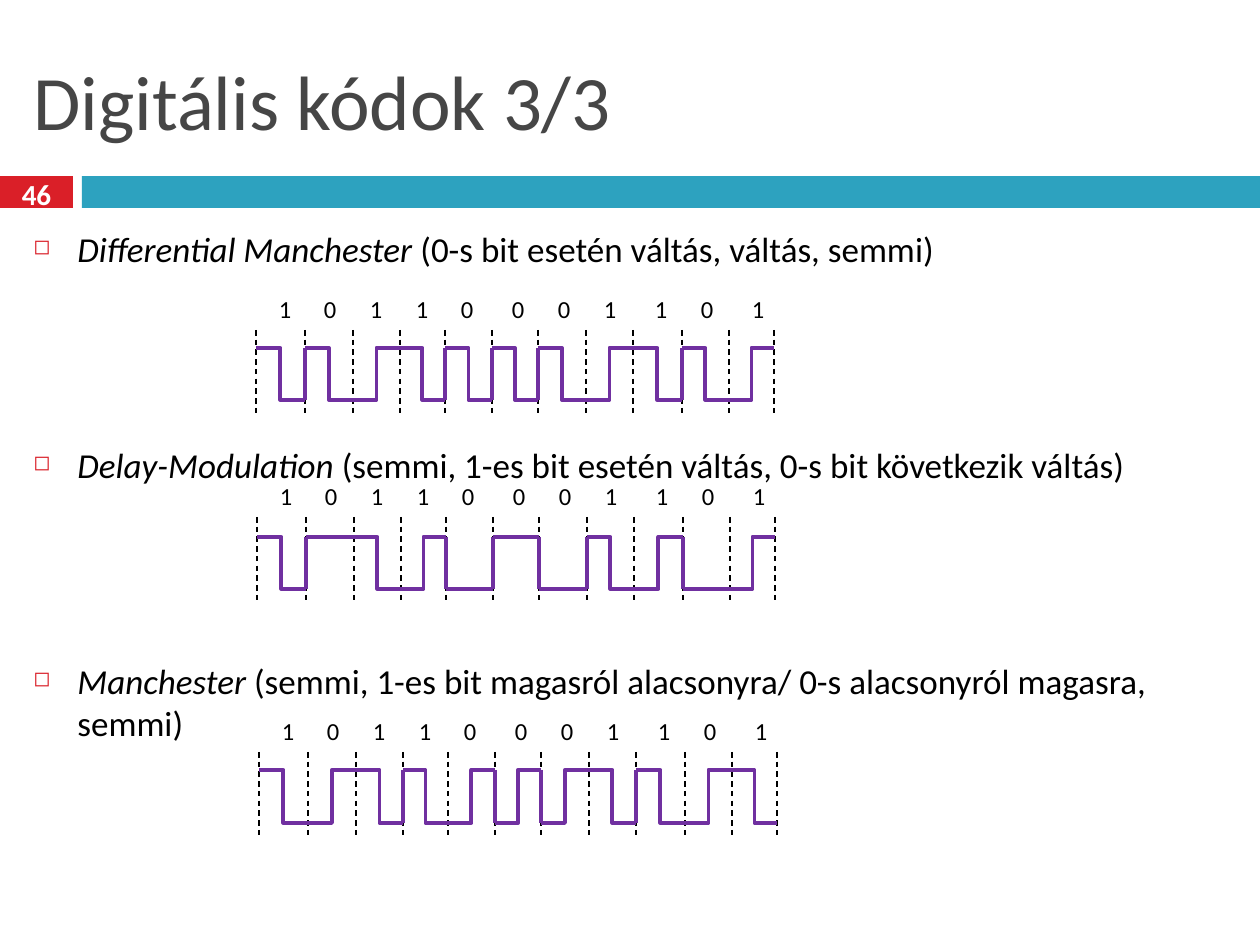
from itertools import pairwise

from lxml.etree import SubElement
from pptx import Presentation
from pptx.dml.color import RGBColor
from pptx.enum.dml import MSO_LINE
from pptx.enum.shapes import MSO_CONNECTOR as LINK, MSO_SHAPE as SHAPE
from pptx.enum.text import MSO_ANCHOR as ANCHOR, PP_ALIGN as ALIGN
from pptx.oxml.ns import qn
from pptx.util import Pt

EMU_PER_PX = 914400 / 126
FONT = "Calibri"
BLACK, WHITE, GREY = "000000", "FFFFFF", "464646"
RED, TEAL, PURPLE = "DA1F28", "2DA2BF", "7030A0"

BITS = "10110001101"
BIT_EDGES = [0, 49, 97, 144, 189, 236, 282, 330, 377, 426, 473, 518]
DIGIT_STOPS = [45, 91, 137, 182, 233, 279, 325, 376, 422, 473]
LEVELS = {"F": (0, 1), "R": (1, 0), "H": (0, 0), "L": (1, 1)}

CODES = [
    ("Differential Manchester", " (0-s bit esetén váltás, váltás, semmi)"),
    ("Delay-Modulation", " (semmi, 1-es bit esetén váltás, 0-s bit következik váltás)"),
    ("Manchester", " (semmi, 1-es bit magasról alacsonyra/ 0-s alacsonyról magasra, semmi)"),
]
DIAGRAMS = [
    ((256, 330, 518, 87), (18, 70), "FFRFFFFRFFR"),
    ((257, 517, 518, 87), (20, 72), "FHFRLHLFRLR"),
    ((259, 752, 518, 87), (18, 71), "FRFFRRRFFRF"),
]


def px(length):
    """Turn px into EMU."""
    return round(length * EMU_PER_PX)


def rgb(code):
    """Turn a hex string into a colour."""
    return RGBColor.from_string(code)


def add_run(paragraph, text, size, color, bold=False, italic=False):
    """Append one styled run."""
    run = paragraph.add_run()
    run.text = text
    font = run.font
    font.name, font.size, font.bold, font.italic = FONT, Pt(size), bold, italic
    font.color.rgb = rgb(color)


def add_frame(slide, box, anchor=ANCHOR.TOP):
    """Add a wrapping text box and return its frame."""
    frame = slide.shapes.add_textbox(*map(px, box)).text_frame
    frame.word_wrap = True
    frame.vertical_anchor = anchor
    return frame


def add_bar(slide, box, color):
    """Add a plain filled rectangle."""
    bar = slide.shapes.add_shape(SHAPE.RECTANGLE, *map(px, box))
    bar.shadow.inherit = False
    bar.fill.solid()
    bar.fill.fore_color.rgb = rgb(color)
    bar.line.fill.background()


def add_link(slide, start, end, color, width, kind=LINK.STRAIGHT):
    """Add a line between two points and return it."""
    link = slide.shapes.add_connector(kind, *map(px, (*start, *end)))
    link.line.color.rgb = rgb(color)
    link.line.width = Pt(width)
    SubElement(link._element.spPr, qn("a:effectLst"))
    return link


def add_title(slide, box):
    """Write the slide title."""
    frame = add_frame(slide, box, ANCHOR.MIDDLE)
    add_run(frame.paragraphs[0], "Digitális kódok 3/3", 44, GREY)


def add_band(slide, box):
    """Draw the band with the page number at its left end."""
    left, top, width, height = box
    number_width, band_left = 73, 82
    add_bar(slide, (left, top, number_width, height), RED)
    add_bar(slide, (left + band_left, top, width - band_left, height), TEAL)
    frame = add_frame(slide, (left, top - 3, number_width, height + 10), ANCHOR.MIDDLE)
    frame.margin_left = frame.margin_right = 0
    frame.margin_top = frame.margin_bottom = 0
    number = frame.paragraphs[0]
    number.alignment = ALIGN.CENTER
    add_run(number, "46", 16.6, WHITE, bold=True)


def add_bullet(paragraph, indent):
    """Give a paragraph a small red square bullet."""
    props = paragraph._p.get_or_add_pPr()
    props.set("marL", str(px(indent)))
    props.set("indent", str(-px(indent)))
    SubElement(SubElement(props, qn("a:buClr")), qn("a:srgbClr")).set("val", RED)
    SubElement(props, qn("a:buSzPct")).set("val", "60000")
    SubElement(props, qn("a:buChar")).set("char", "◻")


def add_code_list(slide, box):
    """List the codes with room for a diagram after each."""
    frame = add_frame(slide, box)
    for index, (code, rule) in enumerate(CODES):
        paragraph = frame.add_paragraph() if index else frame.paragraphs[0]
        add_bullet(paragraph, 44)
        if index:
            paragraph.space_before = Pt(99.6)
        add_run(paragraph, code, 20, BLACK, italic=True)
        add_run(paragraph, rule, 20, BLACK)


def add_bits(slide, box):
    """Write the bits on tab stops."""
    frame = add_frame(slide, box)
    frame.margin_left = px(24)
    bits = frame.paragraphs[0]
    stops = SubElement(bits._p.get_or_add_pPr(), qn("a:tabLst"))
    for stop in DIGIT_STOPS:
        tab = SubElement(stops, qn("a:tab"))
        tab.set("pos", str(px(stop)))
        tab.set("algn", "l")
    add_run(bits, "\t".join(BITS), 14, BLACK)


def add_diagram(slide, box, level_offsets, wave):
    """Draw the bits, the bit borders and the signal of one code."""
    left, top, width, height = box
    add_bits(slide, (left - 1, top - 42, width + 46, 43))
    edges = [left + edge for edge in BIT_EDGES]
    for edge in edges:
        border = add_link(slide, (edge, top), (edge, top + height), BLACK, 0.79)
        border.line.dash_style = MSO_LINE.DASH
    levels = [top + offset for offset in level_offsets]
    previous = None
    for step, (start, end) in zip(wave, pairwise(edges)):
        first, last = LEVELS[step]
        if previous not in (None, first):
            add_link(slide, (start, levels[0]), (start, levels[1]), PURPLE, 2.25)
        kind = LINK.STRAIGHT if first == last else LINK.ELBOW
        add_link(slide, (start, levels[first]), (end, levels[last]), PURPLE, 2.25, kind)
        previous = last


def main():
    """Build and save the slide."""
    deck = Presentation()
    deck.slide_width, deck.slide_height = px(1260), px(945)
    slide = deck.slides.add_slide(deck.slide_layouts[6])
    add_band(slide, (0, 176, 1260, 32))
    add_title(slide, (21, 32, 1218, 136))
    add_code_list(slide, (21, 221, 1218, 703))
    for box, level_offsets, wave in DIAGRAMS:
        add_diagram(slide, box, level_offsets, wave)
    deck.save("out.pptx")


if __name__ == "__main__":
    main()
